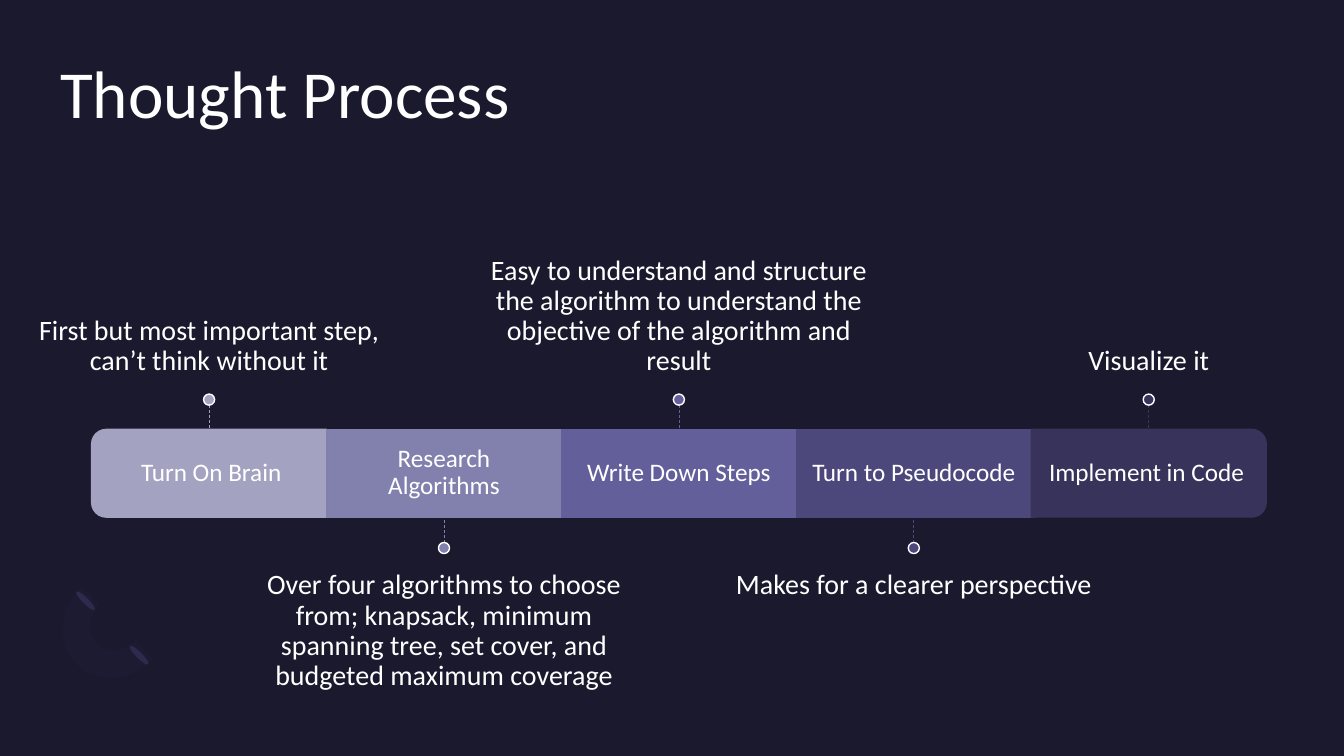
from dataclasses import dataclass
from lxml.etree import SubElement
from pptx import Presentation
from pptx.dml.color import RGBColor
from pptx.dml.fill import FillFormat
from pptx.enum.dml import MSO_LINE
from pptx.enum.shapes import MSO_CONNECTOR as Conn, MSO_SHAPE as Shp
from pptx.enum.text import MSO_ANCHOR as Anchor, PP_ALIGN as Align
from pptx.oxml.ns import qn
from pptx.shapes.autoshape import Shape
from pptx.slide import Slide
from pptx.util import Cm, Pt

WHITE = "FFFFFF"
BAR_LEFT, BAR_TOP, STEP_W, BAR_H = 2.31, 10.82, 5.92, 2.21
NOTE_W, NOTE_H, DOT = 9.86, 4.7, 0.28
CAP_INSET = 0.11
ABOVE_DOT, BELOW_DOT = 9.93, 13.67


@dataclass
class Step:
    label: str
    note: str
    color: str


@dataclass
class Box:
    x: float
    y: float
    w: float
    h: float

    def emu(self) -> tuple:
        return Cm(self.x), Cm(self.y), Cm(self.w), Cm(self.h)


STEPS = [
    Step("Turn On Brain", "First but most important step, can’t think without it", "A3A3C1"),
    Step("Research Algorithms",
         "Over four algorithms to choose from; knapsack, minimum spanning tree, "
         "set cover, and budgeted maximum coverage", "8281AE"),
    Step("Write Down Steps",
         "Easy to understand and structure the algorithm to understand the "
         "objective of the algorithm and result", "625F9A"),
    Step("Turn to Pseudocode", "Makes for a clearer perspective", "4C487B"),
    Step("Implement in Code", "Visualize it", "37335B"),
]
LEAVES = [Box(3.43, 16.18, 0.15, 0.66), Box(2.08, 14.81, 0.15, 0.66)]
ARC_START = (1.93, 16.74)
ARC_PARTS = [
    [(1.42, 16.23), (1.47, 15.37), (2.06, 14.78)],
    [(2.51, 15.24)],
    [(2.21, 15.52), (2.18, 15.98), (2.44, 16.21)],
    [(2.69, 16.46), (3.12, 16.43), (3.43, 16.15)],
    [(3.86, 16.61)],
    [(3.3, 17.17), (2.41, 17.25), (1.93, 16.74)],
]


def set_all(obj: object, values: dict) -> None:
    for name, value in values.items():
        setattr(obj, name, value)


def paint(fill: FillFormat, color: str) -> None:
    fill.solid()
    fill.fore_color.rgb = RGBColor.from_string(color)


def finish(sp: Shape, color: str, line: str = "") -> None:
    sp.shadow.inherit = False
    paint(sp.fill, color)
    if line:
        paint(sp.line.fill, line)
        sp.line.width = Pt(1)
    else:
        sp.line.fill.background()


def add_shape(s: Slide, kind: Shp, box: Box, color: str, line: str = "", turn: float = 0) -> None:
    sp = s.shapes.add_shape(kind, *box.emu())
    sp.rotation = turn
    finish(sp, color, line)


def add_text(s: Slide, text: str, box: Box, size: int, align: Align, anchor: Anchor,
             inset: tuple) -> None:
    tf = s.shapes.add_textbox(*box.emu()).text_frame
    left, top, right, bottom = (Cm(v) for v in inset)
    set_all(tf, {"word_wrap": True, "vertical_anchor": anchor, "margin_left": left,
                 "margin_top": top, "margin_right": right, "margin_bottom": bottom})
    p = tf.paragraphs[0]
    set_all(p, {"alignment": align, "line_spacing": 0.9})
    r = p.add_run()
    r.text = text
    set_all(r.font, {"name": "Calibri", "size": Pt(size)})
    paint(r.font.fill, WHITE)


def add_stem(s: Slide, x: float, y1: float, y2: float, color: str) -> None:
    ln = s.shapes.add_connector(Conn.STRAIGHT, Cm(x), Cm(y1), Cm(x), Cm(y2))
    paint(ln.line.fill, color)
    set_all(ln.line, {"width": Pt(0.5), "dash_style": MSO_LINE.DASH})
    SubElement(ln._element.spPr, qn("a:effectLst"))


def curve(a: tuple, b: tuple, c: tuple, d: tuple, count: int = 12) -> list:
    ts = [i / count for i in range(1, count + 1)]
    return [tuple((1 - t) ** 3 * a[k] + 3 * t * (1 - t) ** 2 * b[k]
                  + 3 * t * t * (1 - t) * c[k] + t ** 3 * d[k] for k in (0, 1)) for t in ts]


def add_arc(s: Slide) -> None:
    points = [ARC_START]
    for part in ARC_PARTS:
        points += curve(points[-1], *part) if len(part) == 3 else part
    start, *rest = [(Cm(x), Cm(y)) for x, y in points]
    builder = s.shapes.build_freeform(*start)
    builder.add_line_segments(rest, close=True)
    sp = builder.convert_to_shape()
    finish(sp, "7771B2")
    color = sp._element.spPr.find(qn("a:solidFill"))[0]
    SubElement(color, qn("a:alpha"), val="3000")


def add_step(s: Slide, i: int, step: Step) -> None:
    left = BAR_LEFT + i * STEP_W
    mid = left + STEP_W / 2
    first, last = i == 0, i == len(STEPS) - 1
    above = i % 2 == 0

    if first or last:
        cap = Box(mid - BAR_H / 2, BAR_TOP + (BAR_H - STEP_W) / 2, BAR_H, STEP_W)
        add_shape(s, Shp.ROUND_2_SAME_RECTANGLE, cap, step.color, step.color,
                  270 if first else 90)
    else:
        add_shape(s, Shp.RECTANGLE, Box(left, BAR_TOP, STEP_W, BAR_H), step.color, step.color)

    label = Box(left + CAP_INSET * first, BAR_TOP, STEP_W - CAP_INSET * (first or last), BAR_H)
    add_text(s, step.label, label, 18, Align.CENTER, Anchor.MIDDLE, (0.38,) * 4)

    dot_y = ABOVE_DOT if above else BELOW_DOT
    note_y = dot_y - NOTE_H if above else dot_y + DOT
    add_text(s, step.note, Box(mid - NOTE_W / 2, note_y, NOTE_W, NOTE_H), 20, Align.CENTER,
             Anchor.BOTTOM if above else Anchor.TOP,
             (0, 0, 0, 0.43) if above else (0, 0.43, 0, 0))
    stem_y = dot_y + DOT if above else dot_y - 1.07
    add_stem(s, mid, stem_y, stem_y + 1.07, step.color)
    add_shape(s, Shp.OVAL, Box(mid - DOT / 2, dot_y, DOT, DOT), step.color, WHITE)


def main() -> None:
    prs = Presentation()
    set_all(prs, {"slide_width": Cm(33.87), "slide_height": Cm(19.05)})
    s = prs.slides.add_slide(prs.slide_layouts[6])
    paint(s.background.fill, "1B192E")
    for leaf in LEAVES:
        add_shape(s, Shp.OVAL, leaf, "2C284A", turn=135)
    add_arc(s)
    add_text(s, "Thought Process", Box(1.52, 1.52, 30.81, 3.71), 48, Align.LEFT,
             Anchor.TOP, (0,) * 4)
    for i, step in enumerate(STEPS):
        add_step(s, i, step)
    prs.save("out.pptx")


if __name__ == "__main__":
    main()
